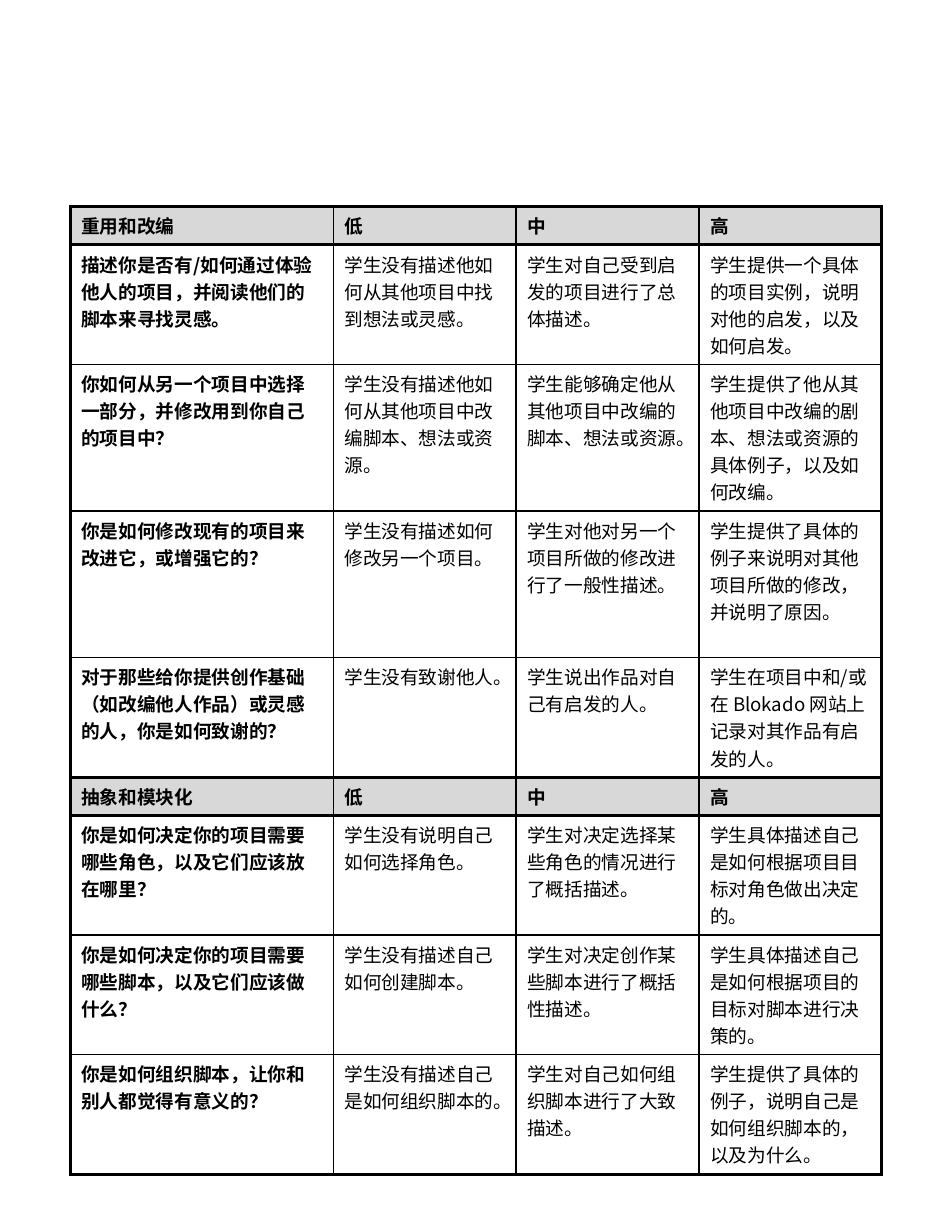
from lxml import etree
from pptx import Presentation
from pptx.dml.color import RGBColor
from pptx.enum import lang
from pptx.oxml.ns import qn
from pptx.util import Pt

FONT = "Noto Sans CJK SC"
BLACK = RGBColor(0x00, 0x00, 0x00)
HEADER_GREY = RGBColor(0xD8, 0xD8, 0xD8)
THICK, THIN = Pt(2.25), Pt(1)

LEVELS = ("低", "中", "高")
REUSE = [
    ("重用和改编", *LEVELS),
    ("描述你是否有/如何通过体验他人的项目，并阅读他们的脚本来寻找灵感。",
     "学生没有描述他如何从其他项目中找到想法或灵感。",
     "学生对自己受到启发的项目进行了总体描述。",
     "学生提供一个具体的项目实例，说明对他的启发，以及如何启发。"),
    ("你如何从另一个项目中选择一部分，并修改用到你自己的项目中？",
     "学生没有描述他如何从其他项目中改编脚本、想法或资源。",
     "学生能够确定他从其他项目中改编的脚本、想法或资源。",
     "学生提供了他从其他项目中改编的剧本、想法或资源的具体例子，以及如何改编。"),
    ("你是如何修改现有的项目来改进它，或增强它的？",
     "学生没有描述如何修改另一个项目。",
     "学生对他对另一个项目所做的修改进行了一般性描述。",
     "学生提供了具体的例子来说明对其他项目所做的修改，并说明了原因。"),
    ("对于那些给你提供创作基础（如改编他人作品）或灵感的人，你是如何致谢的？",
     "学生没有致谢他人。",
     "学生说出作品对自己有启发的人。",
     "学生在项目中和/或在 Blokado 网站上记录对其作品有启发的人。"),
]
ABSTRACTION = [
    ("抽象和模块化", *LEVELS),
    ("你是如何决定你的项目需要哪些角色，以及它们应该放在哪里？",
     "学生没有说明自己如何选择角色。",
     "学生对决定选择某些角色的情况进行了概括描述。",
     "学生具体描述自己是如何根据项目目标对角色做出决定的。"),
    ("你是如何决定你的项目需要哪些脚本，以及它们应该做什么？",
     "学生没有描述自己如何创建脚本。",
     "学生对决定创作某些脚本进行了概括性描述。",
     "学生具体描述自己是如何根据项目的目标对脚本进行决策的。"),
    ("你是如何组织脚本，让你和别人都觉得有意义的？",
     "学生没有描述自己是如何组织脚本的。",
     "学生对自己如何组织脚本进行了大致描述。",
     "学生提供了具体的例子，说明自己是如何组织脚本的，以及为什么。"),
]
RUBRIC = REUSE + ABSTRACTION
HEADER_ROWS = (0, len(REUSE))

COLUMN_WIDTHS = [169.2] + [117.6] * 3
HEADER, FOUR_LINES, FIVE_LINES = 24.2, 76.8, 94.2
ROW_HEIGHTS = [HEADER, FOUR_LINES, FIVE_LINES, FIVE_LINES, FOUR_LINES,
               HEADER, FOUR_LINES, FOUR_LINES, FOUR_LINES]


def set_borders(cell, **widths):
    """Draw black cell borders; the sides are L, R, T and B."""
    properties = cell._tc.get_or_add_tcPr()
    for side in "LRTB":
        line = etree.SubElement(properties, qn(f"a:ln{side}"), w=str(widths[side]))
        fill = etree.SubElement(line, qn("a:solidFill"))
        etree.SubElement(fill, qn("a:srgbClr"), val=str(BLACK))


def write_text(cell, wording, bold):
    cell.text = wording
    paragraph = cell.text_frame.paragraphs[0]
    font = paragraph.font
    font.size, font.bold, font.name = Pt(12), bold, FONT
    font.color.rgb = BLACK
    font.language_id = lang.MSO_LANGUAGE_ID.SIMPLIFIED_CHINESE
    # Chinese characters take the East Asian typeface
    defaults = paragraph._p.pPr.find(qn("a:defRPr"))
    etree.SubElement(defaults, qn("a:ea"), typeface=FONT)


def style_cell(cell, row, column):
    # Thick lines frame the table and each header row
    heavy_edges = {edge for header in HEADER_ROWS for edge in (header, header + 1)}
    heavy_edges.add(len(RUBRIC))
    set_borders(
        cell,
        L=THICK if column == 0 else THIN,
        R=THICK if column == len(LEVELS) else THIN,
        T=THICK if row in heavy_edges else THIN,
        B=THICK if row + 1 in heavy_edges else THIN,
    )
    if row in HEADER_ROWS:
        cell.fill.solid()
        cell.fill.fore_color.rgb = HEADER_GREY
    else:
        cell.fill.background()


def add_rubric(slide):
    rubric = slide.shapes.add_table(
        len(RUBRIC), len(COLUMN_WIDTHS), Pt(45), Pt(132.8),
        Pt(sum(COLUMN_WIDTHS)), Pt(sum(ROW_HEIGHTS))).table
    rubric.first_row = rubric.horz_banding = False
    for column, width in zip(rubric.columns, COLUMN_WIDTHS):
        column.width = Pt(width)
    for row, height in zip(rubric.rows, ROW_HEIGHTS):
        row.height = Pt(height)
    for r, wordings in enumerate(RUBRIC):
        for c, wording in enumerate(wordings):
            cell = rubric.cell(r, c)
            write_text(cell, wording, bold=c == 0 or r in HEADER_ROWS)
            style_cell(cell, r, c)


def main():
    deck = Presentation()
    deck.slide_width, deck.slide_height = Pt(612), Pt(792)
    slide = deck.slides.add_slide(deck.slide_layouts[6])
    add_rubric(slide)
    deck.save("out.pptx")


if __name__ == "__main__":
    main()
